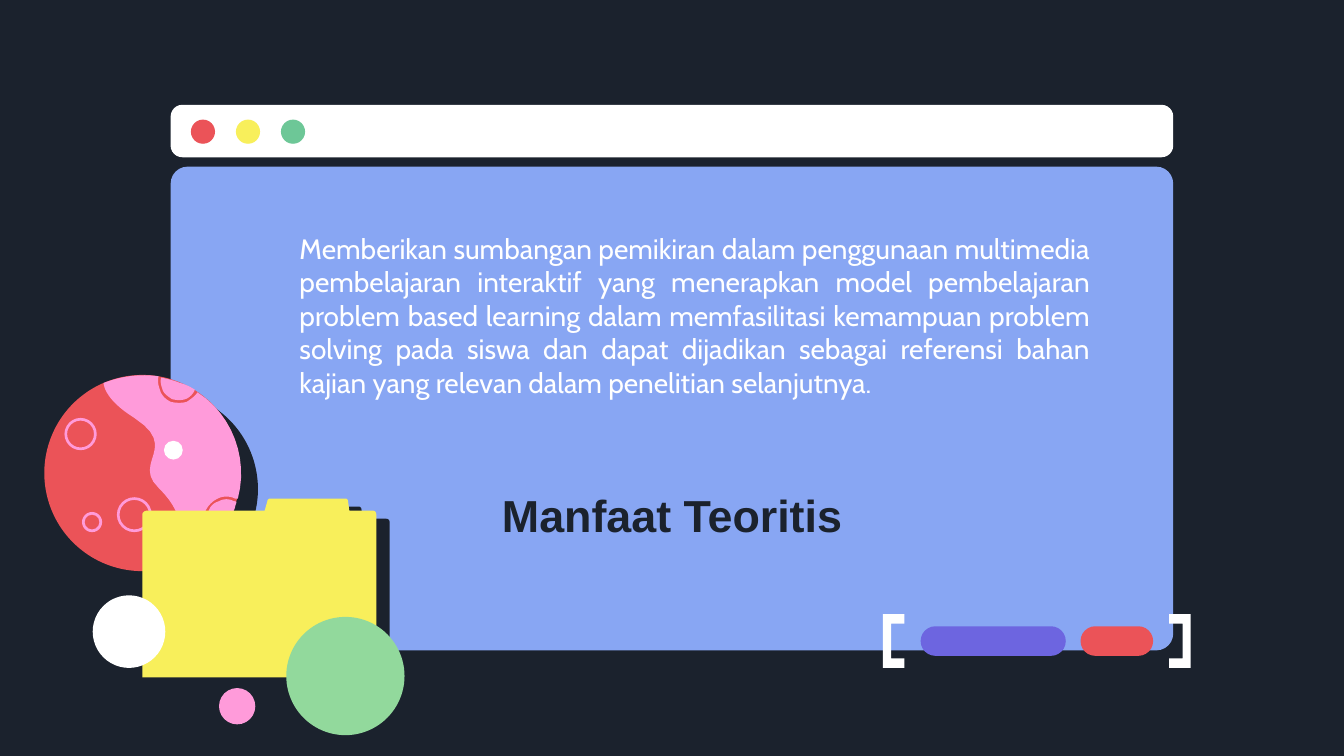
from pptx import Presentation
from pptx.dml.color import RGBColor
from pptx.enum import shapes, text
from pptx.util import Inches, Pt

DARK = RGBColor(0x1B, 0x22, 0x2D)
WHITE = RGBColor(0xFF, 0xFF, 0xFF)
RED = RGBColor(0xEB, 0x53, 0x58)
YELLOW = RGBColor(0xF8, 0xEF, 0x5B)
TEAL = RGBColor(0x6D, 0xC7, 0x97)
GREEN = RGBColor(0x92, 0xD9, 0x9C)
BLUE = RGBColor(0x88, 0xA6, 0xF3)
PINK = RGBColor(0xFF, 0x9B, 0xDA)
PURPLE = RGBColor(0x6D, 0x65, 0xE0)
SHAPE = shapes.MSO_SHAPE

# Outlines relative to their region: pairs are corners, sextuples are Bezier curves
PINK_LAND = [
    [(.44, .06), (.57, .01, .71, -.01, .85, .01), (.84, .05, .85, .08, .86, .11),
     (.87, .15, .9, .18, .94, .2), (.98, .21, 1.03, .21, 1.06, .2),
     (1.09, .18, 1.12, .16, 1.14, .13), (1.4, .3, 1.52, .62, 1.44, .92),
     (1.43, .92, 1.43, .92, 1.42, .92), (1.38, .9, 1.33, .9, 1.29, .92),
     (1.25, .94, 1.22, .97, 1.2, 1.01), (1.18, 1.06, 1.18, 1.1, 1.2, 1.14),
     (1.21, 1.18, 1.24, 1.21, 1.27, 1.23), (1.17, 1.33, 1.05, 1.4, .92, 1.44),
     (1.05, 1.15, 1.03, 1.02, .85, .84), (.65, .65, 1.01, .54, .67, .32),
     (.51, .22, .45, .13, .44, .06)],
    [(.87, .02), (.86, .05, .87, .08, .88, .11), (.89, .14, .92, .16, .95, .18),
     (.99, .19, 1.02, .19, 1.05, .18), (1.08, .17, 1.11, .14, 1.12, .11),
     (1.09, .09, 1.05, .07, 1.01, .06), (.96, .04, .92, .03, .87, .02)],
    [(1.43, .95), (1.43, .94, 1.42, .94, 1.41, .94), (1.38, .92, 1.33, .92, 1.3, .94),
     (1.26, .95, 1.23, .98, 1.22, 1.02), (1.2, 1.06, 1.2, 1.1, 1.22, 1.14),
     (1.23, 1.17, 1.25, 1.19, 1.29, 1.21), (1.34, 1.15, 1.38, 1.08, 1.41, 1.01),
     (1.42, .99, 1.42, .97, 1.43, .95)],
]
FOLDER = [[(1.74, .12), (1.74, 1.33), (0, 1.33), (0, .12), (0, .1, .02, .09, .04, .09),
           (.91, .09), (.93, .02), (.93, .01, .94, 0, .95, 0), (1.51, 0),
           (1.52, 0, 1.53, .01, 1.53, .02), (1.54, .09), (1.71, .09),
           (1.73, .09, 1.74, .1, 1.74, .12)]]
BRACKET = [(.16, .07), (.06, .07), (.06, .33), (.16, .33), (.16, .4), (0, .4), (0, 0), (.16, 0)]


def paint(sp, color):
    sp.shadow.inherit = False
    sp.fill.solid()
    sp.fill.fore_color.rgb = color
    sp.line.fill.background()


def add_preset(s, kind, x, y, w, h, color, adj=None):
    sp = s.shapes.add_shape(kind, Inches(x), Inches(y), Inches(w), Inches(h))
    paint(sp, color)
    if adj is not None:
        sp.adjustments[0] = adj


def add_circle(s, x, y, size, color):
    add_preset(s, SHAPE.OVAL, x, y, size, size, color)


def flatten(contour, steps=12):
    pts = [contour[0]]
    for seg in contour[1:]:
        if len(seg) == 2:
            pts.append(seg)
            continue
        p0, c1, c2, p3 = pts[-1], seg[:2], seg[2:4], seg[4:]
        for t in (i / steps for i in range(1, steps + 1)):
            k = 1 - t
            pts.append(tuple(k**3 * a + 3 * k * k * t * b + 3 * k * t * t * c + t**3 * d
                             for a, b, c, d in zip(p0, c1, c2, p3)))
    return pts


def add_outline(s, x, y, contours, color):
    builder = None
    for contour in contours:
        pts = [(Inches(x + px), Inches(y + py)) for px, py in flatten(contour)]
        if builder is None:
            builder = s.shapes.build_freeform(*pts[0])
        else:
            builder.move_to(*pts[0])
        builder.add_line_segments(pts[1:], close=True)
    paint(builder.convert_to_shape(), color)


def add_text(s, x, y, w, h, words, align, anchor, fmt):
    tf = s.shapes.add_textbox(Inches(x), Inches(y), Inches(w), Inches(h)).text_frame
    tf.word_wrap = True
    tf.vertical_anchor = anchor
    for side in ("left", "right", "top", "bottom"):
        setattr(tf, f"margin_{side}", Inches(0.1))
    p = tf.paragraphs[0]
    p.alignment = align
    r = p.add_run()
    r.text = words
    fmt = dict(fmt)
    r.font.color.rgb = fmt.pop("color")
    for name, value in fmt.items():
        setattr(r.font, name, value)


def draw_window(s, x, y, w):
    # Title bar, its three buttons and the pane
    add_preset(s, SHAPE.ROUNDED_RECTANGLE, x, y, w, 0.39, WHITE, 0.223)
    for i, color in enumerate((RED, YELLOW, TEAL)):
        add_circle(s, x + 0.15 + i * 0.335, y + 0.11, 0.18, color)
    add_preset(s, SHAPE.ROUNDED_RECTANGLE, x, y + 0.46, w, 3.6, BLUE, 0.035)


def draw_planet(s, x, y, size):
    # Shadow, globe, land, ring craters and bright spot
    add_circle(s, x + 0.13, y + 0.12, size, DARK)
    add_circle(s, x, y, size, RED)
    for dx, dy, d in ((0.15, 0.32, 0.24), (0.54, 0.91, 0.26), (0.28, 1.02, 0.15)):
        add_preset(s, SHAPE.DONUT, x + dx, y + dy, d, d, PINK, 0.02 / d)
    add_outline(s, x, y, PINK_LAND, PINK)
    add_circle(s, x + 0.89, y + 0.49, 0.14, WHITE)


def draw_folder(s, x, y):
    add_outline(s, x + 0.1, y + 0.06, FOLDER, DARK)
    add_outline(s, x, y, FOLDER, YELLOW)


def draw_pills(s, x, y, w):
    # Two pills between mirrored brackets
    add_outline(s, x, y, [BRACKET], WHITE)
    for dx, pill_w, color in ((0.28, 1.08, PURPLE), (1.47, 0.54, RED)):
        add_preset(s, SHAPE.ROUNDED_RECTANGLE, x + dx, y + 0.09, pill_w, 0.22, color, 0.5)
    add_outline(s, x, y, [[(w - px, py) for px, py in BRACKET]], WHITE)


def main():
    prs = Presentation()
    prs.slide_width, prs.slide_height = Inches(10), Inches(5.625)
    s = prs.slides.add_slide(prs.slide_layouts[6])
    s.background.fill.solid()
    s.background.fill.fore_color.rgb = DARK

    draw_window(s, 1.27, 0.78, 7.46)
    draw_planet(s, 0.33, 2.79, 1.46)
    draw_folder(s, 1.06, 3.71)

    # Title and body
    add_text(s, 2.69, 3.5, 4.62, 0.66, "Manfaat Teoritis",
             text.PP_ALIGN.CENTER, text.MSO_ANCHOR.MIDDLE,
             {"size": Pt(24), "name": "Arial", "bold": True, "color": DARK})
    add_text(s, 2.13, 1.62, 6.08, 1.75,
             "Memberikan sumbangan pemikiran dalam penggunaan multimedia pembelajaran "
             "interaktif yang menerapkan model pembelajaran problem based learning dalam "
             "memfasilitasi kemampuan problem solving pada siswa dan dapat dijadikan sebagai "
             "referensi bahan kajian yang relevan dalam penelitian selanjutnya.",
             text.PP_ALIGN.JUSTIFY, text.MSO_ANCHOR.TOP,
             {"size": Pt(15), "name": "Cabin", "color": WHITE})

    # Loose dots and the pill group
    add_circle(s, 2.13, 4.59, 0.88, GREEN)
    draw_pills(s, 6.57, 4.57, 2.29)
    add_circle(s, 0.69, 4.43, 0.54, WHITE)
    add_circle(s, 1.63, 5.12, 0.27, PINK)
    prs.save("out.pptx")


if __name__ == "__main__":
    main()
